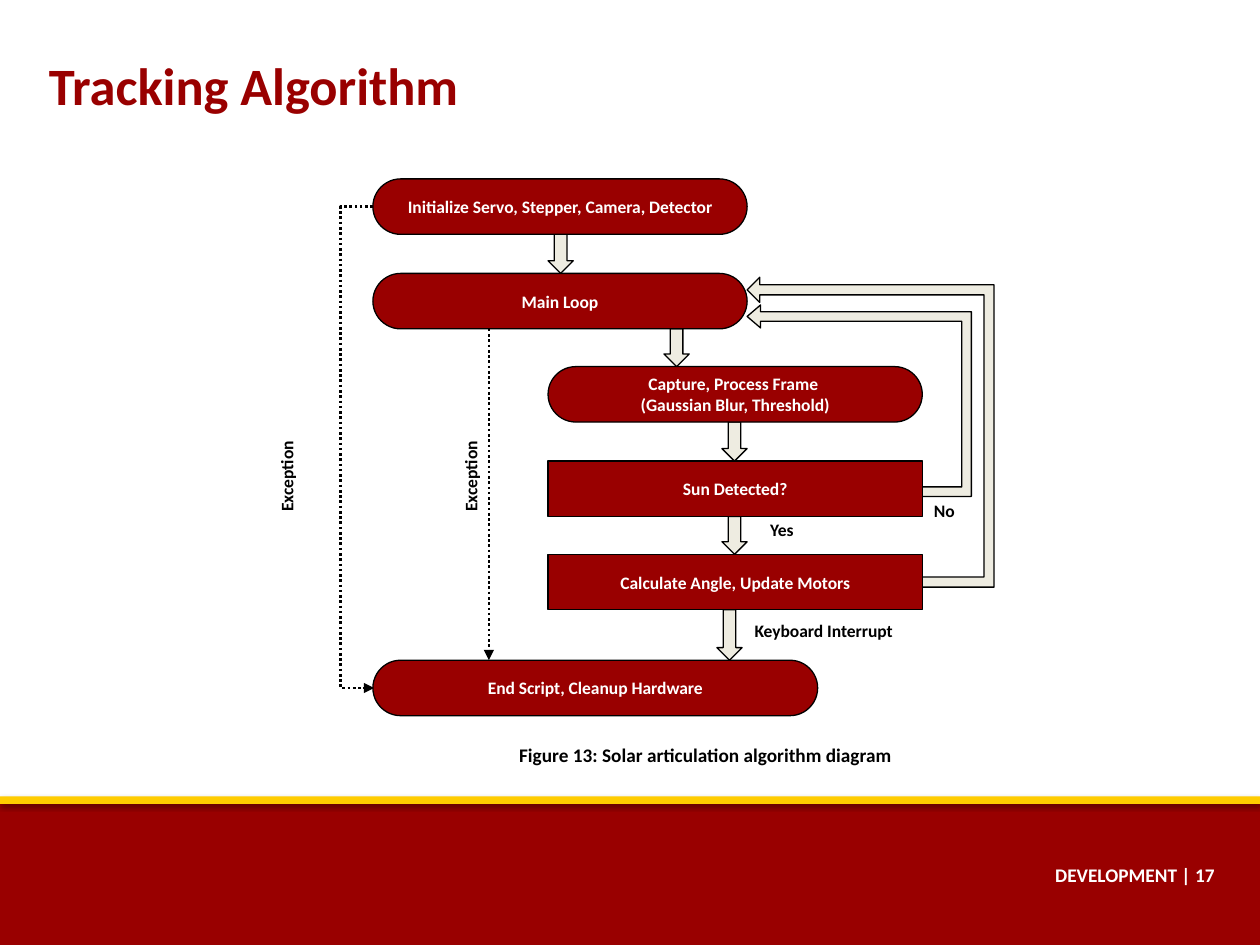
from lxml import etree
from pptx import Presentation
from pptx.dml.color import RGBColor
from pptx.enum.dml import MSO_LINE
from pptx.enum.shapes import MSO_CONNECTOR as LINK, MSO_SHAPE as SHAPE
from pptx.enum.text import MSO_ANCHOR as ANCHOR, PP_ALIGN as ALIGN
from pptx.oxml.ns import qn
from pptx.util import Inches, Pt

RED, GOLD, CREAM, BLACK, WHITE = "990000", "FFCC00", "EEECE1", "000000", "FFFFFF"


def color(value):
    return RGBColor.from_string(value)


class Painter:
    font = "Calibri"

    def __init__(self, page):
        self.page = page

    def fill_text(self, shape, lines, size, ink, align, inset):
        frame = shape.text_frame
        frame.word_wrap = True
        frame.margin_left = frame.margin_right = Inches(0.1)
        frame.margin_top = frame.margin_bottom = Inches(inset)
        for index, line in enumerate(lines):
            para = frame.paragraphs[0] if index == 0 else frame.add_paragraph()
            para.alignment = align
            span = para.add_run()
            span.text = line
            span.font.name = self.font
            span.font.size = Pt(size)
            span.font.bold = True
            span.font.color.rgb = color(ink)

    def shape(self, kind, at, fill, line=None, adjust=()):
        shape = self.page.shapes.add_shape(kind, *map(Inches, at))
        shape.shadow.inherit = False
        shape.fill.solid()
        shape.fill.fore_color.rgb = color(fill)
        if line:
            shape.line.color.rgb = color(line)
            shape.line.width = Pt(0.75)
        else:
            shape.line.fill.background()
        for index, value in enumerate(adjust):
            shape.adjustments[index] = value
        return shape

    def band(self, top, height, fill, alpha, distance):
        """Full-width bar with a soft shadow falling below it."""
        bar = self.shape(SHAPE.RECTANGLE, (0, top, 10, height), fill)
        effects = bar._element.spPr.find(qn("a:effectLst"))
        shadow = etree.SubElement(
            effects, qn("a:outerShdw"), blurRad=str(Pt(3.1)), dist=str(Pt(distance)),
            dir="5400000", rotWithShape="0")
        tint = etree.SubElement(shadow, qn("a:srgbClr"), val=BLACK)
        etree.SubElement(tint, qn("a:alpha"), val=str(alpha * 1000))

    def step(self, left, top, width, lines, rounded=True):
        kind, adjust = (SHAPE.ROUNDED_RECTANGLE, (0.5,)) if rounded else (SHAPE.RECTANGLE, ())
        box = self.shape(kind, (left, top, width, STEP_HEIGHT), RED, BLACK, adjust)
        box.text_frame.vertical_anchor = ANCHOR.MIDDLE
        self.fill_text(box, lines, 10, WHITE, ALIGN.CENTER, 0.1)

    def down_arrow(self, left, top, bottom):
        self.shape(SHAPE.DOWN_ARROW, (left, top, 0.2, bottom - top), CREAM, BLACK, (0.5, 0.5))

    def return_arrow(self, at, adjust):
        """U-turn arrow leading back to the left."""
        arrow = self.shape(SHAPE.U_TURN_ARROW, at, CREAM, BLACK, adjust)
        arrow.rotation = 90
        arrow._element.spPr.find(qn("a:xfrm")).set("flipH", "1")

    def text(self, at, line, size=10, ink=BLACK, align=ALIGN.CENTER, inset=0.1, turn=0):
        box = self.page.shapes.add_textbox(*map(Inches, at))
        box.rotation = turn
        self.fill_text(box, [line], size, ink, align, inset)

    def dotted_arrow(self, kind, start, end, bend=None):
        """Dotted connector; bend is the elbow position as a share of its width."""
        link = self.page.shapes.add_connector(kind, *map(Inches, (*start, *end)))
        link.line.color.rgb = color(BLACK)
        link.line.width = Pt(1.5)
        link.line.dash_style = MSO_LINE.ROUND_DOT
        properties = link._element.spPr
        etree.SubElement(properties.find(qn("a:ln")), qn("a:tailEnd"), type="triangle")
        etree.SubElement(properties, qn("a:effectLst"))
        if bend is not None:
            geometry = properties.find(qn("a:prstGeom"))
            guides = geometry.find(qn("a:avLst"))
            if guides is None:
                guides = etree.SubElement(geometry, qn("a:avLst"))
            etree.SubElement(guides, qn("a:gd"), name="adj1",
                             fmla=f"val {round(bend * 100000)}")


STEP_HEIGHT, STEP_WIDTH = 0.44, 2.97
OUTER, INNER = 2.96, 4.35
START, LOOP, CAPTURE, DETECT, UPDATE, END = 1.42, 2.17, 2.91, 3.66, 4.4, 5.24

deck = Presentation()
deck.slide_width, deck.slide_height = Inches(10), Inches(7.5)
page = deck.slides.add_slide(deck.slide_layouts[6])
paint = Painter(page)

paint.band(6.35, 1.15, RED, 35, 1.8)
paint.band(6.32, 0.06, GOLD, 38, 1.6)
paint.text((7.96, 6.8, 1.78, 0.35), "DEVELOPMENT | 17", 11, WHITE, ALIGN.RIGHT, 0.05)
paint.text((0.29, 0.37, 8.09, 0.61), "Tracking Algorithm", 30, RED, ALIGN.LEFT, 0.05)

paint.return_arrow((5.66, 2.43, 2.46, 2), (0.04, 0.05, 0.05, 0, 0.98))
paint.return_arrow((6.06, 2.29, 1.52, 1.78), (0.05, 0.06, 0.07, 0, 1))

for left, above, below in [
    (4.35, START, LOOP),
    (5.27, LOOP, CAPTURE),
    (5.73, CAPTURE, DETECT),
    (5.73, DETECT, UPDATE),
    (5.69, UPDATE, END),
]:
    paint.down_arrow(left, above + STEP_HEIGHT, below)

paint.dotted_arrow(LINK.STRAIGHT, (3.88, LOOP + STEP_HEIGHT), (3.88, END))
start_middle, end_middle = START + STEP_HEIGHT / 2, END + STEP_HEIGHT / 2
paint.dotted_arrow(LINK.ELBOW, (OUTER, start_middle), (OUTER + 0.01, end_middle), bend=-26)

paint.step(OUTER, START, STEP_WIDTH, ["Initialize Servo, Stepper, Camera, Detector"])
paint.step(OUTER, LOOP, STEP_WIDTH, ["Main Loop"])
paint.step(INNER, CAPTURE, STEP_WIDTH, ["Capture, Process Frame ", "(Gaussian Blur, Threshold)"])
paint.step(INNER, DETECT, STEP_WIDTH, ["Sun Detected?"], rounded=False)
paint.step(INNER, UPDATE, STEP_WIDTH, ["Calculate Angle, Update Motors"], rounded=False)
paint.step(OUTER, END, 3.53, ["End Script, Cleanup Hardware"])

paint.text((7.14, 3.9, 0.71, 0.15), "No")
paint.text((5.85, 4.05, 0.71, 0.15), "Yes")
paint.text((5.89, 4.84, 2, 0.54), "Keyboard Interrupt", align=ALIGN.LEFT)
for left in (1.63, 3.09):
    paint.text((left, 3.69, 1.13, 0.18), "Exception", turn=270)
paint.text((3.96, 5.81, 3.28, 0.39), "Figure 13: Solar articulation algorithm diagram", 11)

deck.save("out.pptx")
